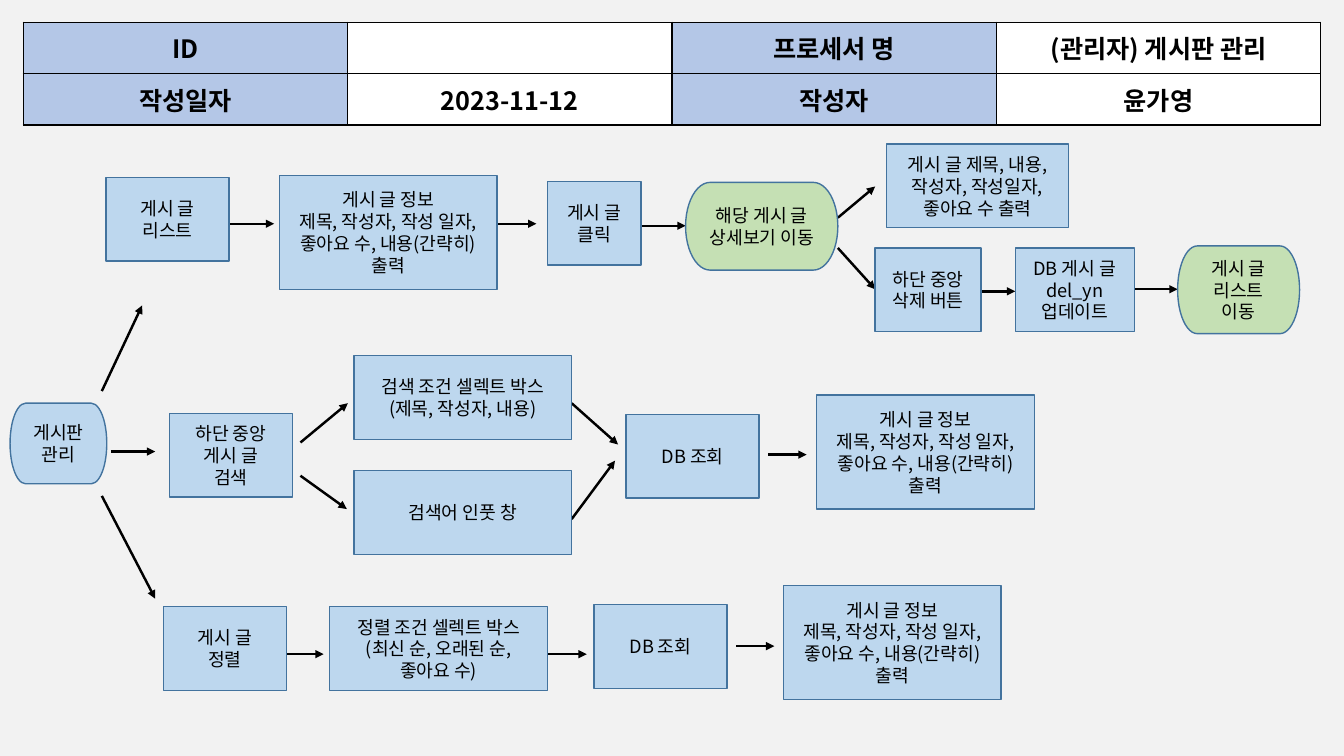
from lxml.etree import SubElement
from pptx import Presentation
from pptx.dml.color import RGBColor
from pptx.enum.shapes import MSO_CONNECTOR as Line, MSO_SHAPE as Shape
from pptx.enum.text import MSO_ANCHOR as Anchor, PP_ALIGN as Align
from pptx.oxml.ns import qn
from pptx.util import Inches, Pt

FONT = "Noto Sans CJK KR"
BLACK, WHITE, PAPER = "000000", "FFFFFF", "F2F2F2"
HEADING, STEP, SCREEN, EDGE = "B4C7E7", "BDD7EE", "C5E0B4", "43739E"
COLUMNS, ROWS = 1333, 750

HEADER = [
    ["ID", "", "프로세서 명", "(관리자) 게시판 관리"],
    ["작성일자", "2023-11-12", "작성자", "윤가영"],
]
HEADER_AREA = (23, 22, 1287, 102)

POST_INFO = "게시 글 정보\n제목, 작성자, 작성 일자, 좋아요 수, 내용(간략히) 출력"
STEP_HEIGHT, INFO_HEIGHT = 83, 113
STEPS = [
    (105, 176, 122, "게시 글\n리스트"),
    (277, 174, 216, POST_INFO),
    (543, 180, 93, "게시 글\n클릭"),
    (879, 143, 181, "게시 글 제목, 내용, 작성자, 작성일자, 좋아요 수 출력"),
    (868, 246, 105, "하단 중앙\n삭제 버튼"),
    (1007, 246, 118, "DB 게시 글\ndel_yn\n업데이트"),
    (168, 410, 122, "하단 중앙\n게시 글\n검색"),
    (351, 353, 216, "검색 조건 셀렉트 박스\n(제목, 작성자, 내용)"),
    (351, 467, 216, "검색어 인풋 창"),
    (621, 411, 132, "DB 조회"),
    (810, 392, 216, POST_INFO),
    (162, 602, 122, "게시 글\n정렬"),
    (327, 602, 216, "정렬 조건 셀렉트 박스\n(최신 순, 오래된 순,\n좋아요 수)"),
    (589, 600, 132, "DB 조회"),
    (777, 581, 216, POST_INFO),
]
TERMINALS = [
    (10, 400, 96, 80, STEP, "게시판 관리"),
    (680, 181, 151, 87, SCREEN, "해당 게시 글 상세보기 이동"),
    (1168, 244, 121, 87, SCREEN, "게시 글\n리스트\n이동"),
]
LEVEL_ARROWS = [
    (228, 222, 44), (494, 222, 38), (636, 224, 44), (963, 289, 44), (1124, 287, 44),
    (110, 448, 44), (762, 451, 38), (277, 649, 44), (544, 649, 38), (730, 641, 38),
]
BRANCH_ARROWS = [
    (101, 388, 141, 303), (101, 492, 154, 594),
    (831, 216, 868, 185), (831, 246, 868, 287),
    (298, 439, 345, 400), (298, 472, 344, 505),
    (567, 400, 613, 441), (567, 515, 610, 457),
]

deck = Presentation()
deck.slide_width, deck.slide_height = Inches(13.33), Inches(7.5)
slide = deck.slides.add_slide(deck.slide_layouts[6])


def color(value):
    return RGBColor.from_string(value)


def paint(fill, value):
    fill.solid()
    fill.fore_color.rgb = color(value)


def place(*lengths):
    units = (deck.slide_width / COLUMNS, deck.slide_height / ROWS)
    return [round(length * units[i % 2]) for i, length in enumerate(lengths)]


def write(frame, text, size, bold=False):
    frame.text = text
    for paragraph in frame.paragraphs:
        paragraph.alignment = Align.CENTER
        font = paragraph.font
        font.name, font.size, font.bold = FONT, Pt(size), bold
        font.color.rgb = color(BLACK)
        defaults = paragraph._p.pPr.find(qn("a:defRPr"))
        SubElement(defaults, qn("a:ea"), typeface=FONT)


def add_box(kind, area, fill, text):
    box = slide.shapes.add_shape(kind, *place(*area))
    box.shadow.inherit = False
    paint(box.fill, fill)
    box.line.color.rgb = color(EDGE)
    box.line.width = Pt(1)
    box.text_frame.word_wrap = True
    box.text_frame.vertical_anchor = Anchor.MIDDLE
    write(box.text_frame, text, 13)


def add_arrow(ends):
    arrow = slide.shapes.add_connector(Line.STRAIGHT, *place(*ends))
    arrow.line.color.rgb = color(BLACK)
    arrow.line.width = Pt(1.75)
    SubElement(arrow.line._get_or_add_ln(), qn("a:tailEnd"), type="triangle")
    SubElement(arrow._element.spPr, qn("a:effectLst"))


def add_borders(cell):
    properties = cell._tc.get_or_add_tcPr()
    for index, side in enumerate(("lnL", "lnR", "lnT", "lnB")):
        border = properties.makeelement(qn(f"a:{side}"), {"w": str(Pt(1))})
        SubElement(SubElement(border, qn("a:solidFill")), qn("a:srgbClr"), val=BLACK)
        properties.insert(index, border)


def add_header():
    table = slide.shapes.add_table(len(HEADER), len(HEADER[0]), *place(*HEADER_AREA)).table
    table.first_row = table.horz_banding = False
    for row, texts in enumerate(HEADER):
        for column, text in enumerate(texts):
            cell = table.cell(row, column)
            cell.vertical_anchor = Anchor.MIDDLE
            paint(cell.fill, WHITE if column % 2 else HEADING)
            add_borders(cell)
            write(cell.text_frame, text, 18, bold=True)


paint(slide.background.fill, PAPER)
add_header()
for left, top, length in LEVEL_ARROWS:
    add_arrow((left, top, left + length, top))
for ends in BRANCH_ARROWS:
    add_arrow(ends)
for left, top, width, text in STEPS:
    height = INFO_HEIGHT if text == POST_INFO else STEP_HEIGHT
    add_box(Shape.RECTANGLE, (left, top, width, height), STEP, text)
for *area, fill, text in TERMINALS:
    add_box(Shape.FLOWCHART_TERMINATOR, area, fill, text)
deck.save("out.pptx")
